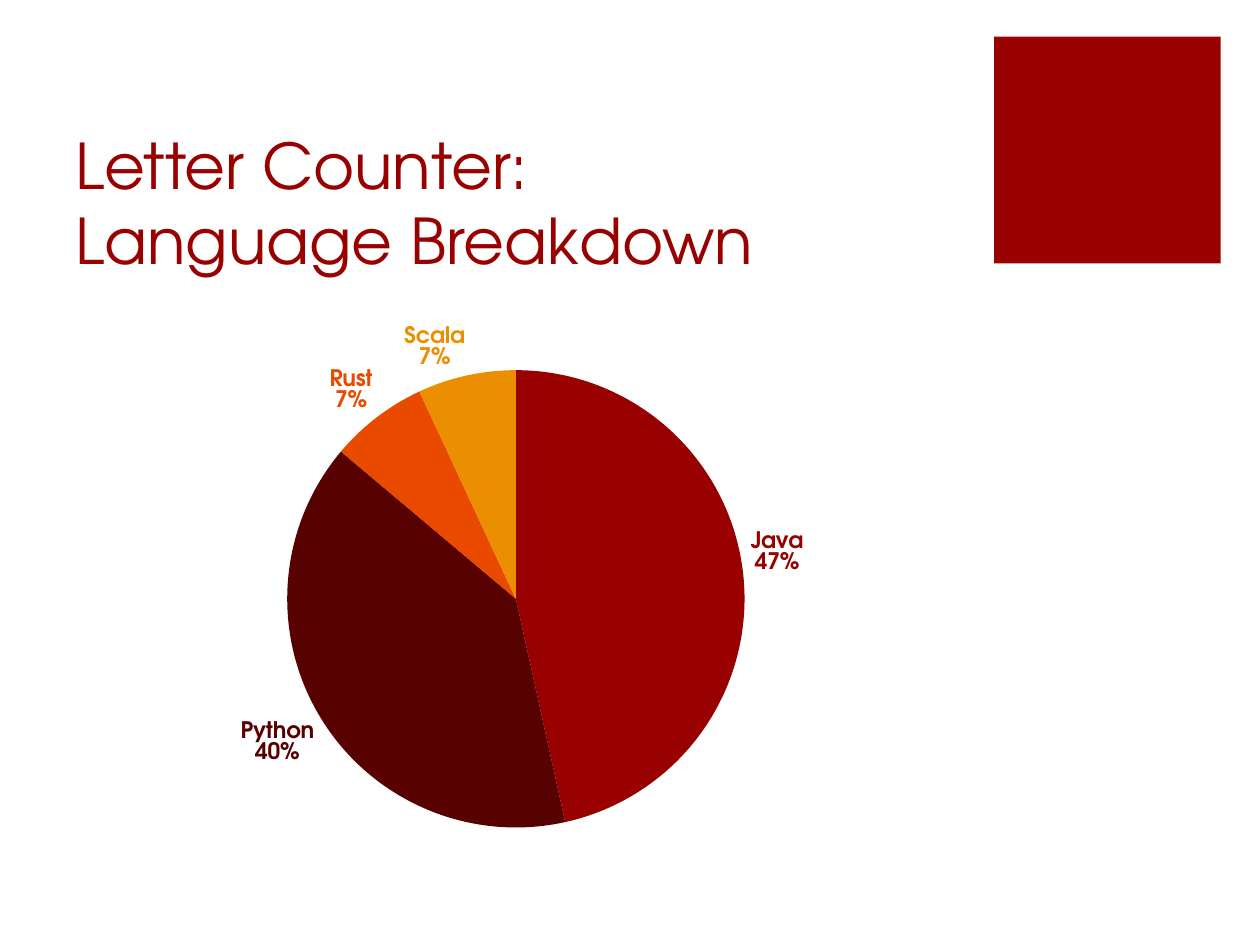
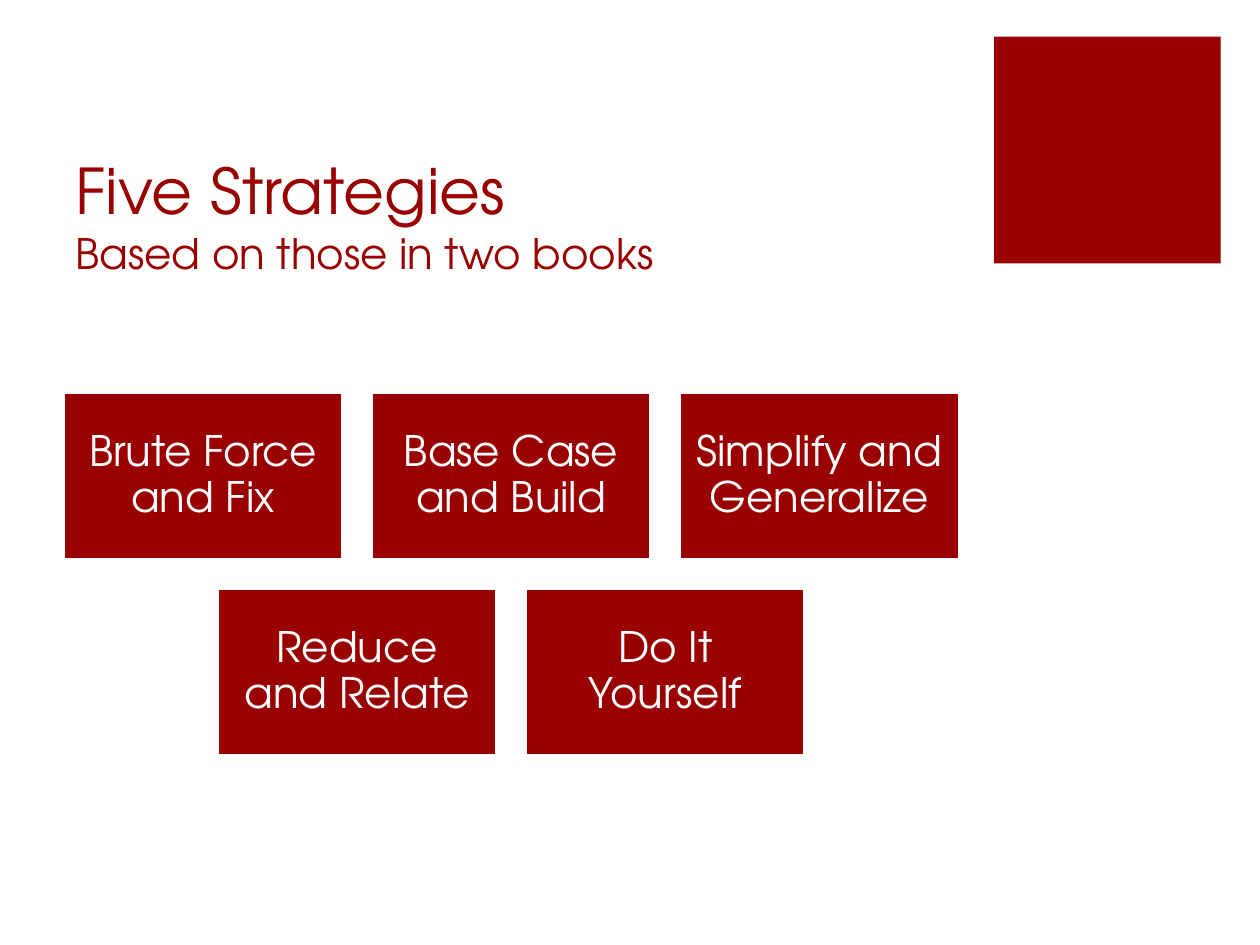
from pptx import Presentation
from pptx.chart.data import CategoryChartData
from pptx.dml.color import RGBColor
from pptx.enum.chart import XL_CHART_TYPE, XL_LABEL_POSITION
from pptx.enum.shapes import MSO_SHAPE
from pptx.enum.text import MSO_ANCHOR, PP_ALIGN
from pptx.oxml import parse_xml
from pptx.oxml.ns import nsdecls, qn
from pptx.util import Cm, Pt
from lxml.etree import SubElement

FONT = "TeX Gyre Adventor"
RED, WHITE = "990000", "FFFFFF"


def style(font, color, **values):
    for name, value in {"name": FONT, **values}.items():
        setattr(font, name, value)
    font.color.rgb = RGBColor.from_string(color)


def add_block(page, left, top, width, height):
    block = page.shapes.add_shape(MSO_SHAPE.RECTANGLE, Cm(left), Cm(top), Cm(width), Cm(height))
    block.shadow.inherit = False
    block.fill.solid()
    block.fill.fore_color.rgb = RGBColor.from_string(RED)
    block.line.fill.background()
    return block


deck = Presentation()
deck.slide_width, deck.slide_height = Cm(25.4), Cm(19.05)

titles = [
    [("Letter Counter:", 36), ("Language Breakdown", 36)],
    [("Five Strategies", 36), ("Based on those in two books", 24)],
]
pages = []
for lines in titles:
    page = deck.slides.add_slide(deck.slide_layouts[6])
    pages.append(page)
    add_block(page, 20.04, 0.74, 4.57, 4.57)
    box = page.shapes.add_textbox(Cm(1.27), Cm(2.54), Cm(18.08), Cm(3.18))
    for name, value in {"word_wrap": True, "vertical_anchor": MSO_ANCHOR.BOTTOM}.items():
        setattr(box.text_frame, name, value)
    para = box.text_frame.paragraphs[0]
    for number, (text, size) in enumerate(lines):
        if number:
            para.add_line_break()
        span = para.add_run()
        span.text = text
        style(span.font, RED, size=Pt(size))

chart_page, strategy_page = pages

languages = [
    ("Java", 47, RED),
    ("Python", 40, "580101"),
    ("Rust", 7, "E94A00"),
    ("Scala", 7, "EB8F00"),
]
data = CategoryChartData()
data.categories = [language for language, share, color in languages]
data.add_series("Series 1", [share for language, share, color in languages])
chart = chart_page.shapes.add_chart(
    XL_CHART_TYPE.PIE, Cm(1.27), Cm(6.15), Cm(18.08), Cm(10.87), data
).chart
chart.has_legend = False
chart.has_title = False
style(chart.font, "000000", size=Pt(10))
plot = chart.plots[0]
plot.vary_by_categories = True
series = plot.series[0]
for number, (language, share, color) in enumerate(languages):
    point = series.points[number]
    point.format.fill.solid()
    point.format.fill.fore_color.rgb = RGBColor.from_string(color)
    point.format.line.fill.background()
    style(point.data_label.font, color, size=Pt(13), bold=True)
    point.data_label.position = XL_LABEL_POSITION.OUTSIDE_END

for label in chart.element.iter(qn("c:dLbl")):
    for name, value in {"c:showVal": "0", "c:showCatName": "1", "c:showPercent": "1"}.items():
        label.find(qn(name)).set("val", value)
    SubElement(label, qn("c:separator")).text = "\n"

layout = parse_xml(f"<c:layout {nsdecls('c')}><c:manualLayout/></c:layout>")
placement = {
    "layoutTarget": "inner", "xMode": "edge", "yMode": "edge",
    "x": "0.25", "y": "0.12", "w": "0.51", "h": "0.85",
}
for name, value in placement.items():
    SubElement(layout[0], qn("c:" + name)).set("val", value)
plot_area = chart.element.find(".//" + qn("c:plotArea"))
for old_layout in plot_area.findall(qn("c:layout")):
    plot_area.remove(old_layout)
plot_area.insert(0, layout)

rows = [
    ["Brute Force and Fix", "Base Case and Build", "Simplify and Generalize"],
    ["Reduce and Relate", "Do It Yourself"],
]
tile_width, tile_height, gap = 5.65, 3.39, 0.56
for row, strategies in enumerate(rows):
    for column, strategy in enumerate(strategies):
        left = 1.27 + (column + row / 2) * (tile_width + gap)
        top = 7.9 + row * (tile_height + gap)
        tile = add_block(strategy_page, left, top, tile_width, tile_height)
        tile.line.color.rgb = RGBColor.from_string(WHITE)
        tile.line.width = Pt(2)
        frame = tile.text_frame
        for name in ("margin_left", "margin_right", "margin_top", "margin_bottom"):
            setattr(frame, name, Cm(0.25))
        for name, value in {"word_wrap": True, "vertical_anchor": MSO_ANCHOR.MIDDLE}.items():
            setattr(frame, name, value)
        para = frame.paragraphs[0]
        for name, value in {"alignment": PP_ALIGN.CENTER, "line_spacing": 0.9}.items():
            setattr(para, name, value)
        span = para.add_run()
        span.text = strategy
        style(span.font, WHITE, size=Pt(24))

deck.save("out.pptx")
